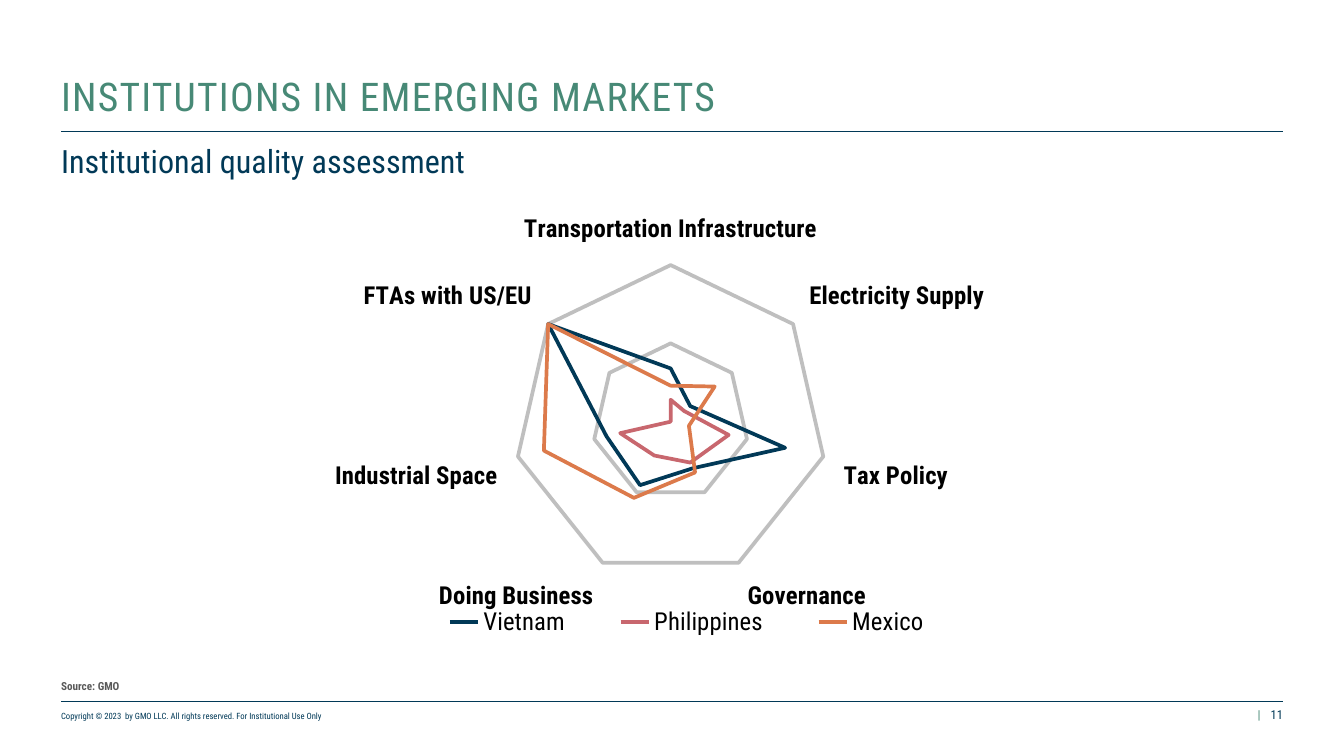
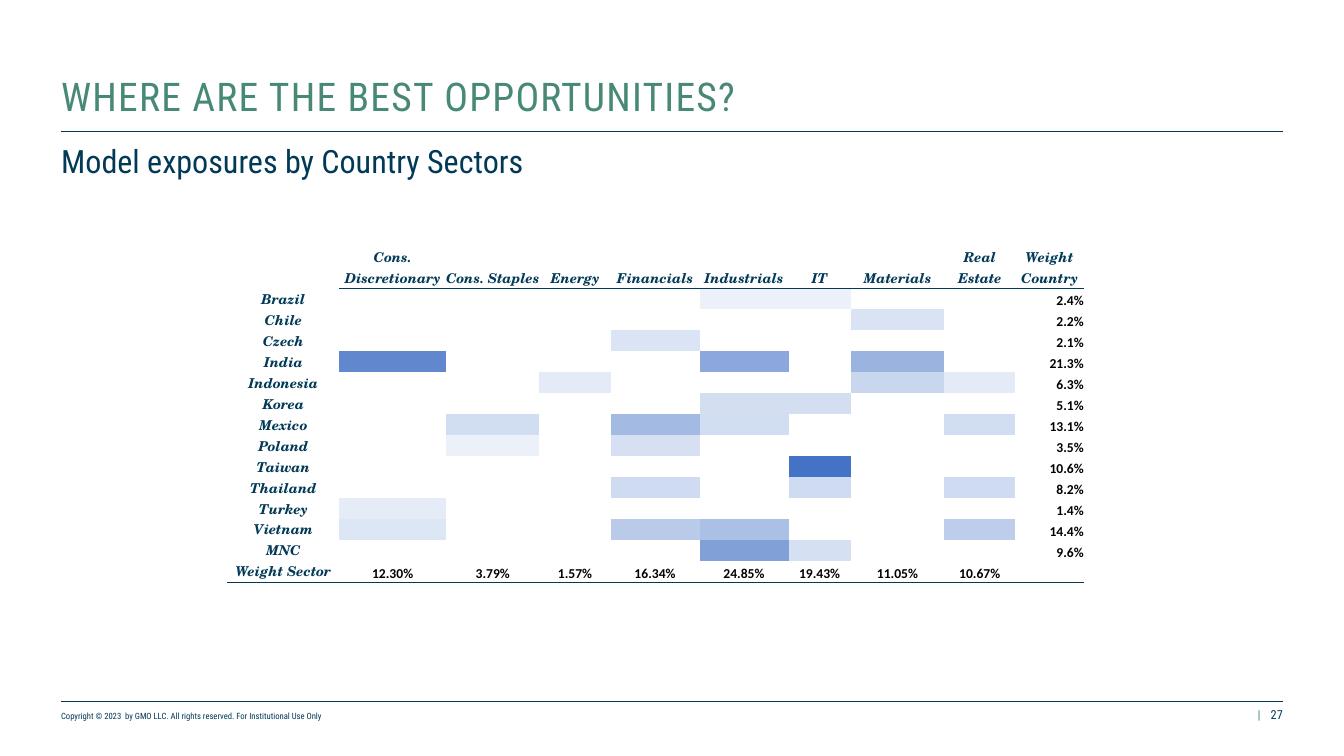
import lxml.etree
import pptx
import pptx.chart.data
import pptx.dml.color
import pptx.enum.chart
import pptx.enum.shapes
import pptx.enum.text
import pptx.oxml.ns
import pptx.util

COLORS = {
    "navy": "013957", "green": "478976", "gray": "595959", "black": "000000",
    "rose": "C8676E", "orange": "DC7A4B", "grid": "BFBFBF", "axis": "D9D9D9",
    "white": "FFFFFF",
}
SANS, SERIF, FIGURES = "Roboto Condensed", "TeX Gyre Schola", "Calibri"
GRID = pptx.util.Inches(0.1)
COLUMNS, ROWS = 151.1, 85
LEFT, SPAN = 6.87, 137.36
RIGHT = LEFT + SPAN
ALIGN = pptx.enum.text.PP_ALIGN
ANCHOR = pptx.enum.text.MSO_ANCHOR
NO_STYLE = "{2D5ABB26-0587-4C30-8999-92F81FD0307C}"
COPYRIGHT = "Copyright © 2023  by GMO LLC. All rights reserved. For Institutional Use Only"

AXES = ["Transportation Infrastructure", "Electricity Supply", "Tax Policy", "Governance",
        "Doing Business", "Industrial Space", "FTAs with US/EU"]
SCORES = [
    ("Vietnam", [34, 16, 75, 33, 45, 42, 100], "navy"),
    ("Philippines", [14, 11, 38, 29, 24, 33, 0], "rose"),
    ("Mexico", [23, 36, 12, 36, 54, 83, 100], "orange"),
]

SECTORS = ["Cons. Discretionary", "Cons. Staples", "Energy", "Financials", "Industrials",
           "IT", "Materials", "Real Estate"]
SECTOR_WEIGHTS = ["12.30%", "3.79%", "1.57%", "16.34%", "24.85%", "19.43%", "11.05%", "10.67%"]
COUNTRIES = [
    ("Brazil", "2.4%", {5: "EBF0F9", 6: "EBF0F9"}),
    ("Chile", "2.2%", {7: "D9E3F3"}),
    ("Czech", "2.1%", {4: "DBE4F4"}),
    ("India", "21.3%", {1: "6188CE", 5: "8BA7DB", 7: "9AB3DF"}),
    ("Indonesia", "6.3%", {3: "E4EBF7", 7: "C8D6EE", 8: "E4EBF7"}),
    ("Korea", "5.1%", {5: "D3DEF1", 6: "D3DEF1"}),
    ("Mexico", "13.1%", {2: "D1DDF1", 4: "A3BAE2", 5: "D1DDF1", 8: "D1DDF1"}),
    ("Poland", "3.5%", {2: "EBF0F9", 4: "D6E0F2"}),
    ("Taiwan", "10.6%", {6: "4472C4"}),
    ("Thailand", "8.2%", {4: "CFDBF0", 6: "CFDBF0", 8: "CFDBF0"}),
    ("Turkey", "1.4%", {1: "E6ECF7"}),
    ("Vietnam", "14.4%", {1: "DDE6F5", 4: "BACBEA", 5: "ABC0E5", 8: "BDCDEB"}),
    ("MNC", "9.6%", {5: "81A0D7", 6: "D5E0F2"}),
]
TABLE_COLUMNS = [12.6, 12, 10.5, 8, 10, 10, 7, 10.5, 8, 7.7]
TABLE_ROWS = [4.72] + [2.36] * 14


def rgb(value):
    return pptx.dml.color.RGBColor.from_string(value)


def place(*lengths):
    return [int(length * GRID) for length in lengths]


def style(font, size, color, name=SANS, bold=False, italic=False):
    font.size = pptx.util.Pt(size)
    font.name = name
    font.bold = bold
    font.italic = italic
    font.color.rgb = rgb(COLORS[color])


def add_text(page, area, text, size, color, anchor=ANCHOR.BOTTOM, align=ALIGN.LEFT, bold=False):
    frame = page.shapes.add_textbox(*place(*area)).text_frame
    frame.word_wrap = True
    frame.vertical_anchor = anchor
    frame.margin_left = frame.margin_right = frame.margin_top = frame.margin_bottom = 0
    para = frame.paragraphs[0]
    para.text = text
    para.alignment = align
    style(para.font, size, color, bold=bold)
    return para


def add_rule(page, top, weight):
    rule = page.shapes.add_connector(
        pptx.enum.shapes.MSO_CONNECTOR.STRAIGHT, *place(LEFT, top, RIGHT, top))
    rule.line.width = pptx.util.Pt(weight)
    rule.line.color.rgb = rgb(COLORS["navy"])
    lxml.etree.SubElement(rule._element.spPr, pptx.oxml.ns.qn("a:effectLst"))


def add_page(deck, title, subtitle, number):
    page = deck.slides.add_slide(deck.slide_layouts[6])
    add_text(page, (LEFT, 79.6, 71, 1.5), COPYRIGHT, 7, "navy")
    add_text(page, (141, 79.5, 1.1, 1.7), "|", 10, "green", align=ALIGN.CENTER)
    add_text(page, (RIGHT - 34, 79.5, 34, 1.7), number, 10, "navy", align=ALIGN.RIGHT)
    add_rule(page, 78.8, 0.5)
    add_rule(page, 14.8, 1)
    heading = add_text(page, (LEFT, 5, SPAN, 8.5), title, 32, "green")
    heading.line_spacing = 0.9
    heading.runs[0].font._element.set("spc", "100")
    add_text(page, (LEFT, 15.9, SPAN, 2.7), subtitle, 26, "navy", anchor=ANCHOR.TOP)
    return page


def set_layout(element, index, shares, inner=False):
    tag = pptx.oxml.ns.qn
    for old in element.findall(tag("c:layout")):
        element.remove(old)
    layout = lxml.etree.Element(tag("c:layout"))
    manual = lxml.etree.SubElement(layout, tag("c:manualLayout"))
    settings = [("layoutTarget", "inner")] if inner else []
    settings += [("xMode", "edge"), ("yMode", "edge")]
    settings += zip("xywh", map(str, shares))
    for name, value in settings:
        lxml.etree.SubElement(manual, tag("c:" + name)).set("val", value)
    element.insert(index, layout)


def add_radar(page, area):
    data = pptx.chart.data.CategoryChartData(number_format="0")
    data.categories = AXES
    for name, values, _ in SCORES:
        data.add_series(name, values)
    chart = page.shapes.add_chart(
        pptx.enum.chart.XL_CHART_TYPE.RADAR, *place(*area), data).chart
    chart.has_title = False
    style(chart.font, 20, "black")

    spokes = chart.category_axis
    spokes.has_major_gridlines = False
    spokes.major_tick_mark = pptx.enum.chart.XL_TICK_MARK.NONE
    spokes.format.line.color.rgb = rgb(COLORS["axis"])
    spokes.format.line.width = pptx.util.Pt(0.75)
    style(spokes.tick_labels.font, 20, "black", bold=True)

    rings = chart.value_axis
    rings.minimum_scale, rings.maximum_scale, rings.major_unit = 0, 100, 50
    rings.has_major_gridlines = True
    rings.major_gridlines.format.line.color.rgb = rgb(COLORS["grid"])
    rings.major_gridlines.format.line.width = pptx.util.Pt(3)
    rings.visible = False

    for series, (_, _, color) in zip(chart.plots[0].series, SCORES):
        series.format.line.color.rgb = rgb(COLORS[color])
        series.format.line.width = pptx.util.Pt(3)

    chart.has_legend = True
    legend = chart.legend
    legend.position = pptx.enum.chart.XL_LEGEND_POSITION.TOP
    legend.include_in_layout = False
    style(legend.font, 20, "black")
    set_layout(legend._element, 1, (0.25, 0.91, 0.53, 0.07))
    set_layout(chart._chartSpace.chart.plotArea, 0, (0.28, 0.17, 0.44, 0.68), inner=True)


def add_bottom_border(cell):
    tag = pptx.oxml.ns.qn
    border = lxml.etree.Element(tag("a:lnB"), w=str(pptx.util.Pt(0.5)))
    fill = lxml.etree.SubElement(border, tag("a:solidFill"))
    lxml.etree.SubElement(fill, tag("a:srgbClr")).set("val", COLORS["navy"])
    cell._tc.get_or_add_tcPr().insert(0, border)


def fill_cell(cell, text, label, align, fill):
    cell.margin_left = cell.margin_right = cell.margin_top = cell.margin_bottom = 0
    cell.vertical_anchor = ANCHOR.BOTTOM
    if fill:
        cell.fill.solid()
        cell.fill.fore_color.rgb = rgb(fill)
    else:
        cell.fill.background()
    para = cell.text_frame.paragraphs[0]
    para.alignment = align
    if text:
        para.text = text
        if label:
            style(para.font, 11, "navy", SERIF, bold=True, italic=True)
        else:
            style(para.font, 11, "black", FIGURES, bold=True)
    else:
        end = lxml.etree.SubElement(para._p, pptx.oxml.ns.qn("a:endParaRPr"))
        end.set("sz", "1100")


def add_heat_table(page, left, top):
    body = [[name] + [""] * len(SECTORS) + [weight] for name, weight, _ in COUNTRIES]
    content = [[""] + SECTORS + ["Weight Country"], *body,
               ["Weight Sector"] + SECTOR_WEIGHTS + [""]]
    last_row, last_column = len(content) - 1, len(TABLE_COLUMNS) - 1
    table = page.shapes.add_table(
        len(content), len(TABLE_COLUMNS),
        *place(left, top, sum(TABLE_COLUMNS), sum(TABLE_ROWS))).table
    table.first_row = table.horz_banding = False
    table._tbl.tblPr.find(pptx.oxml.ns.qn("a:tableStyleId")).text = NO_STYLE
    for column, width in zip(table.columns, TABLE_COLUMNS):
        column.width = int(width * GRID)
    for row, height in zip(table.rows, TABLE_ROWS):
        row.height = int(height * GRID)

    for r, texts in enumerate(content):
        in_body = 0 < r < last_row
        for c, text in enumerate(texts):
            cell = table.cell(r, c)
            fill = COUNTRIES[r - 1][2].get(c, COLORS["white"]) if in_body and c else None
            align = ALIGN.RIGHT if in_body and c == last_column else ALIGN.CENTER
            fill_cell(cell, text, r == 0 or c == 0, align, fill)
            if r == last_row or (r == 0 and c):
                add_bottom_border(cell)


def main():
    deck = pptx.Presentation()
    deck.slide_width, deck.slide_height = place(COLUMNS, ROWS)

    page = add_page(deck, "INSTITUTIONS IN EMERGING MARKETS",
                    "Institutional quality assessment", "11")
    add_text(page, (LEFT, 72.6, SPAN, 5.3), "Source: GMO", 9, "gray", bold=True)
    add_radar(page, (15.1, 21, 120.6, 51.8))

    page = add_page(deck, "WHERE ARE THE BEST OPPORTUNITIES?",
                    "Model exposures by Country Sectors", "27")
    add_heat_table(page, 25.55, 27.7)

    deck.save("out.pptx")


if __name__ == "__main__":
    main()
